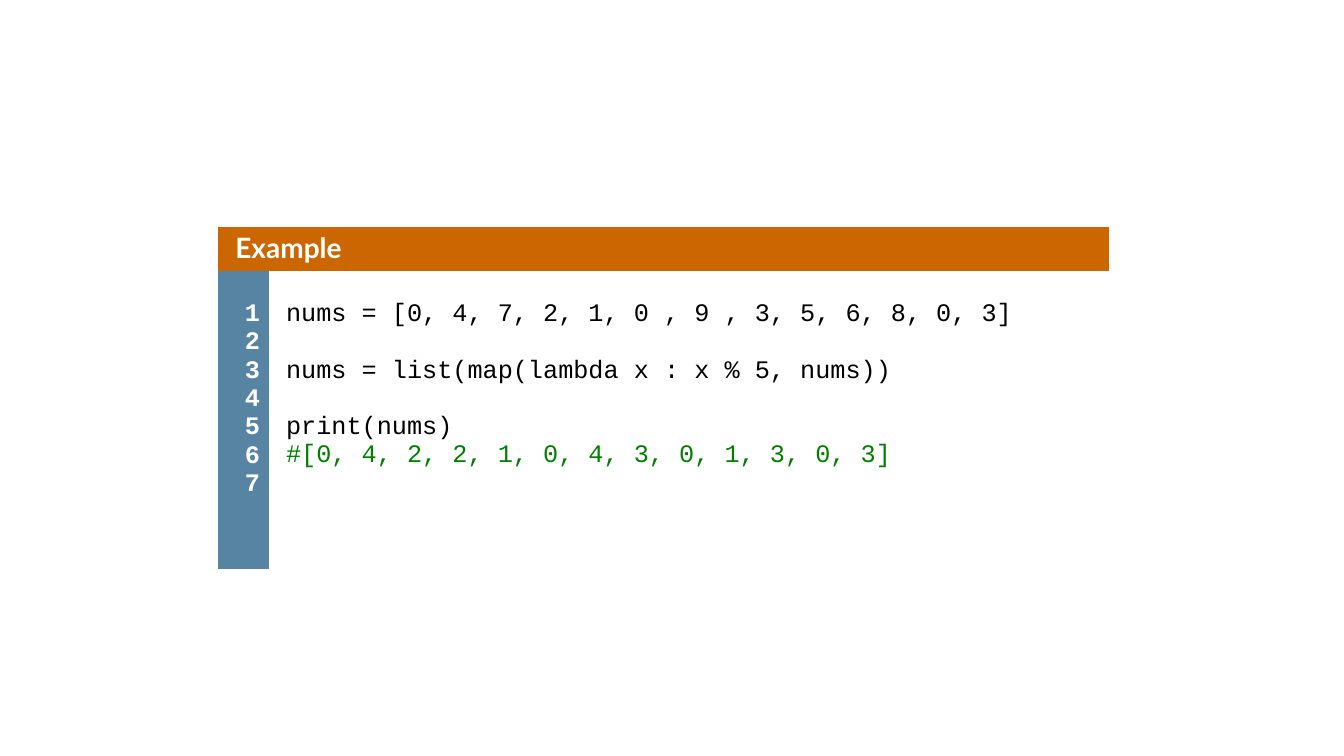
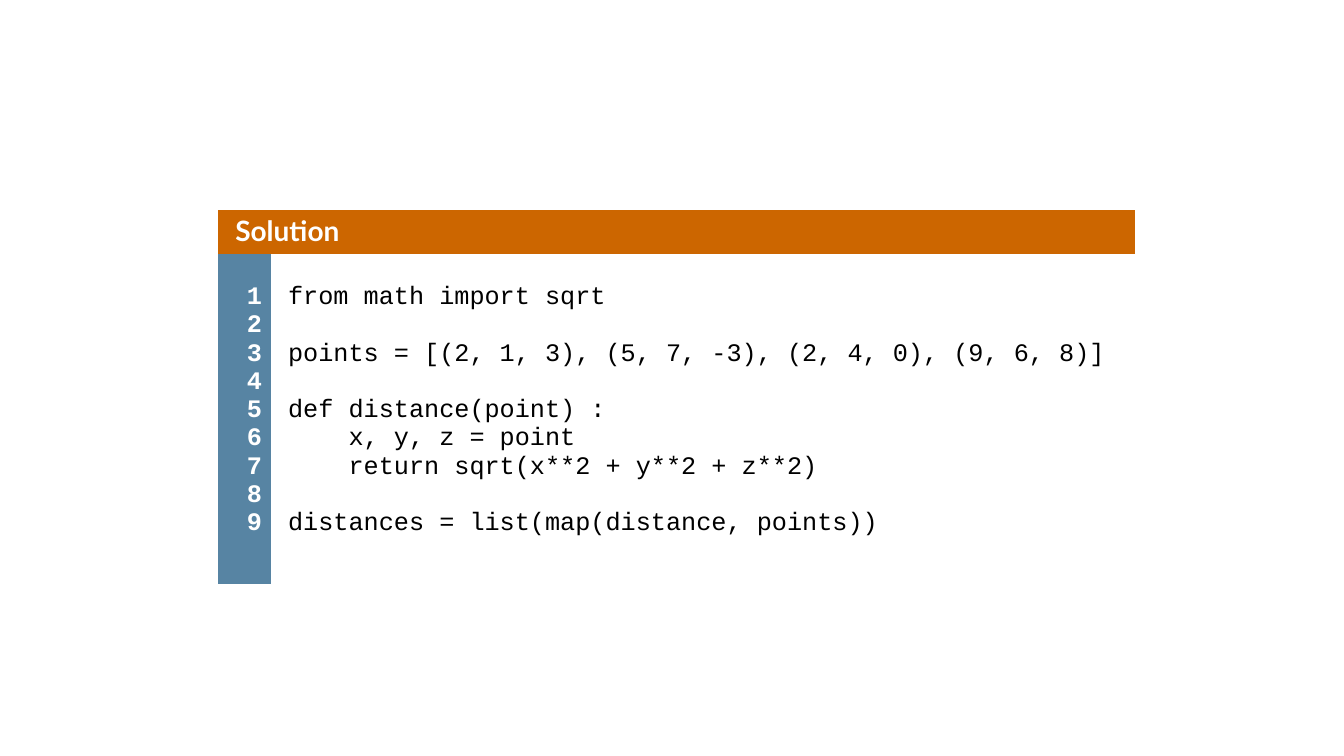
from pptx import Presentation
from pptx.dml.color import RGBColor
from pptx.enum.text import PP_ALIGN as Align
from pptx.util import Cm, Pt

ORANGE = RGBColor(0xCC, 0x66, 0x00)
BLUE = RGBColor(0x57, 0x84, 0xA3)
WHITE = RGBColor(0xFF, 0xFF, 0xFF)
BLACK = RGBColor(0x00, 0x00, 0x00)
GREEN = RGBColor(0x00, 0x80, 0x00)

TITLE_FONT, CODE_FONT = "Lato", "Courier New"
NO_STYLE_NO_GRID = "{2D5ABB26-0587-4C30-8999-92F81FD0307C}"
TABLE_LEFT = 5.5
TITLE_HEIGHT = 1.09
LINE_GAP = 4.5    # points between code lines
LINE_PITCH = 20.2  # points from one baseline to the next

# Lengths in centimetres; an empty string is an empty code line.
LISTINGS = [
    {
        "title": "Example",
        "top": 5.72,
        "columns": (1.28, 21.17),
        "code_height": 7.53,
        "line_count": 7,
        "code": [
            "nums = [0, 4, 7, 2, 1, 0 , 9 , 3, 5, 6, 8, 0, 3]",
            "",
            "nums = list(map(lambda x : x % 5, nums))",
            "",
            "print(nums)",
            "#[0, 4, 2, 2, 1, 0, 4, 3, 0, 1, 3, 0, 3]",
        ],
    },
    {
        "title": "Solution",
        "top": 5.29,
        "columns": (1.33, 21.77),
        "code_height": 8.33,
        "line_count": 9,
        "code": [
            "from math import sqrt",
            "",
            "points = [(2, 1, 3), (5, 7, -3), (2, 4, 0), (9, 6, 8)]",
            "",
            "def distance(point) :",
            "    x, y, z = point",
            "    return sqrt(x**2 + y**2 + z**2)",
            "",
            "distances = list(map(distance, points))",
        ],
    },
]


def style_cell(cell, fill, top, right, bottom):
    cell.fill.solid()
    cell.fill.fore_color.rgb = fill
    cell.margin_left = Cm(0.13)
    cell.margin_top, cell.margin_right, cell.margin_bottom = Cm(top), Cm(right), Cm(bottom)


def style_paragraph(paragraph, font_name, size, color, bold, line_spacing):
    paragraph._p.get_or_add_pPr().set("marL", str(Cm(0.3)))
    paragraph.line_spacing = line_spacing
    font = paragraph.font
    font.name, font.size, font.bold = font_name, Pt(size), bold
    font.color.rgb = color


def write_lines(cell, lines, color, bold=False, alignment=Align.LEFT):
    """Write code lines, turning empty ones into space before the next line."""
    frame = cell.text_frame
    paragraph = None
    skipped = 0
    for line in lines:
        if not line:
            skipped += 1
            continue
        if paragraph is None:
            paragraph = frame.paragraphs[0]
        else:
            paragraph = frame.add_paragraph()
            paragraph.space_before = Pt(LINE_GAP + skipped * LINE_PITCH)
        skipped = 0
        paragraph.text = line
        paragraph.alignment = alignment
        line_color = GREEN if line.startswith("#") else color
        style_paragraph(paragraph, CODE_FONT, 18, line_color, bold, 0.77)


def add_listing(slide, listing):
    columns = listing["columns"]
    heights = (TITLE_HEIGHT, listing["code_height"])
    table = slide.shapes.add_table(
        2, 2, Cm(TABLE_LEFT), Cm(listing["top"]), Cm(sum(columns)), Cm(sum(heights))
    ).table
    table._tbl.tblPr[0].text = NO_STYLE_NO_GRID
    for column, width in zip(table.columns, columns):
        column.width = Cm(width)
    for row, height in zip(table.rows, heights):
        row.height = Cm(height)

    title_cell, title_end = table.cell(0, 0), table.cell(0, 1)
    title_cell.merge(title_end)
    for cell in (title_cell, title_end):
        style_cell(cell, ORANGE, 0.15, 0.13, 0.13)
    title = title_cell.text_frame.paragraphs[0]
    title.text = listing["title"]
    style_paragraph(title, TITLE_FONT, 20, WHITE, True, 0.96)

    number_cell, code_cell = table.cell(1, 0), table.cell(1, 1)
    style_cell(number_cell, BLUE, 0.84, 0.23, 0.58)
    numbers = [str(number + 1) for number in range(listing["line_count"])]
    write_lines(number_cell, numbers, WHITE, True, Align.RIGHT)
    style_cell(code_cell, WHITE, 0.84, 0.46, 0.58)
    write_lines(code_cell, listing["code"], BLACK)


def main():
    presentation = Presentation()
    presentation.slide_width, presentation.slide_height = Cm(33.87), Cm(19.05)
    for listing in LISTINGS:
        slide = presentation.slides.add_slide(presentation.slide_layouts[6])
        add_listing(slide, listing)
    presentation.save("out.pptx")


if __name__ == "__main__":
    main()
